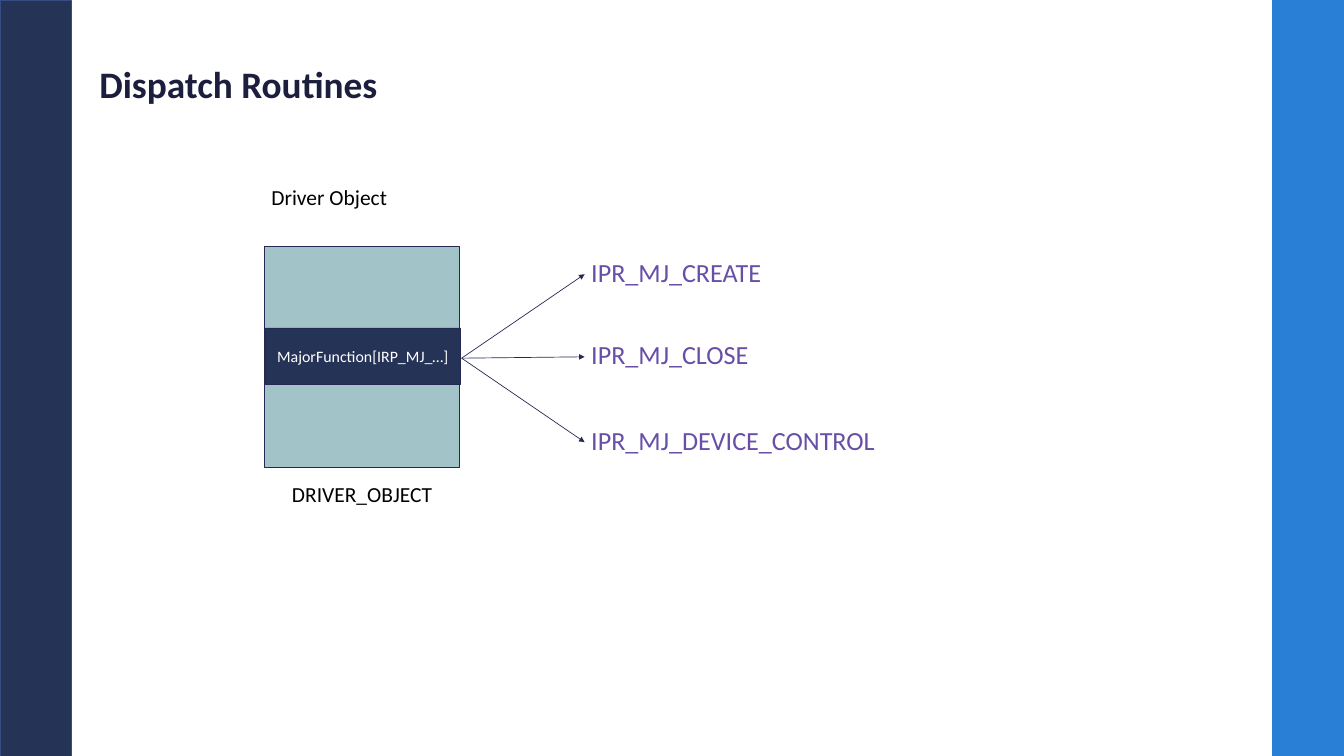
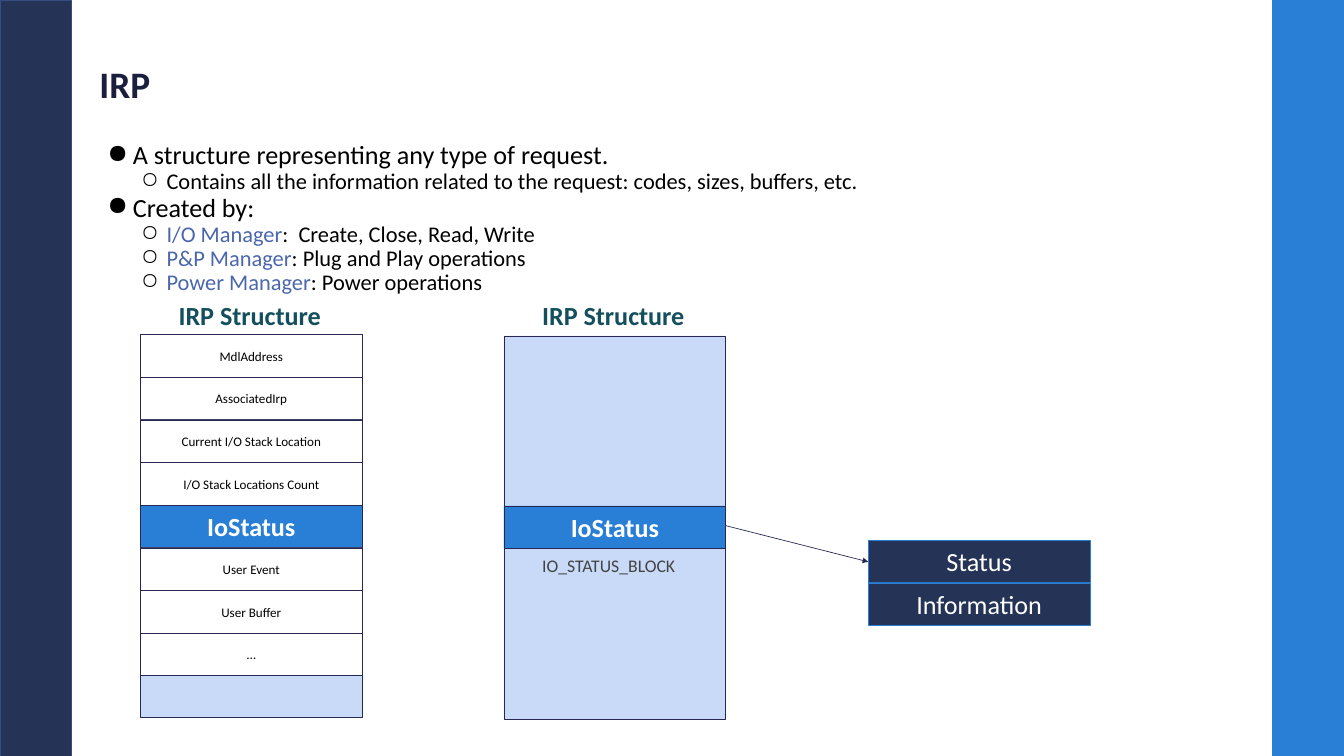
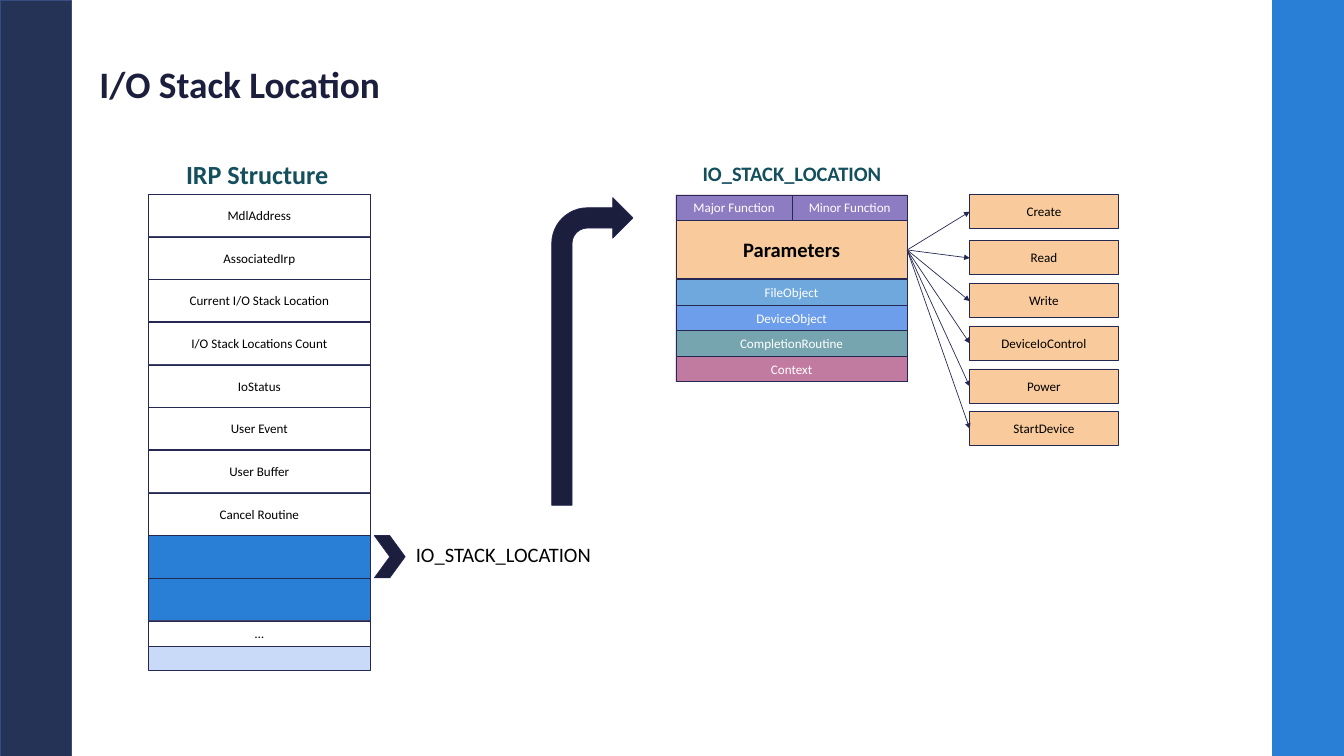
from dataclasses import dataclass, replace
from typing import Optional

import pptx
import pptx.dml.color
import pptx.enum.shapes
import pptx.enum.text
import pptx.oxml.ns
import pptx.shapes.base
import pptx.slide
import pptx.text.text
import pptx.util
from lxml import etree
from pptx.util import Inches

Shape = pptx.enum.shapes.MSO_SHAPE
Align = pptx.enum.text.PP_ALIGN
Anchor = pptx.enum.text.MSO_ANCHOR


@dataclass(frozen=True)
class Theme:
    font: str = "Calibri"
    white: str = "FFFFFF"
    black: str = "000000"
    navy: str = "253356"
    ink: str = "1B1E3D"
    edge: str = "242852"
    rim: str = "374C81"
    blue: str = "297FD5"
    pale: str = "C9DAF8"
    mist: str = "A2C4C9"
    teal: str = "134F5C"
    grey: str = "434343"
    accent: str = "4A66AC"
    violet: str = "674EA7"
    lilac: str = "8E7CC3"
    peach: str = "F9CB9C"
    red: str = "E06666"
    sky: str = "6FA8DC"
    azure: str = "6D9EEB"
    sage: str = "76A5AF"
    rose: str = "C27BA0"
    title: int = 40
    head: int = 28
    sub: int = 24
    label: int = 23
    name: int = 22
    note: int = 19
    code: int = 17
    cell: int = 14
    thin: float = 0.75


THEME = Theme()
PITCH = 1.27 / 2
ROW = 0.63
SLIM = 0.38


@dataclass(frozen=True)
class Box:
    left: float
    top: float
    width: float
    height: float
    fill: str
    text: str = ""
    size: int = THEME.cell
    color: str = THEME.black
    bold: bool = False
    edge: str = THEME.edge
    weight: float = THEME.thin
    kind: Shape = Shape.RECTANGLE
    tweaks: tuple[float, ...] = ()


@dataclass(frozen=True)
class Label:
    text: str
    left: float
    top: float
    width: float
    height: float = ROW
    size: int = THEME.head
    color: str = THEME.black
    bold: bool = False
    align: Align = Align.LEFT
    anchor: Anchor = Anchor.TOP
    pad: float = 0.1
    space: float = 1.0


@dataclass(frozen=True)
class Point:
    text: str
    level: int = 0
    lead: str = ""
    before: int = 0


BANDS = (
    Box(0, 0, 1.06, 11.25, THEME.navy, edge=THEME.rim, weight=1),
    Box(18.94, 0, 1.06, 11.25, THEME.blue, edge=THEME.blue, weight=1),
)
TITLE = Label("", 1.38, 0.6, 17.25, 1.36, THEME.title, THEME.ink, True,
              anchor=Anchor.MIDDLE, pad=0.05, space=0.9)
HEAD = Label("IRP Structure", 0, 0, 2.36, color=THEME.teal, bold=True)


def tint(code: str) -> pptx.dml.color.RGBColor:
    return pptx.dml.color.RGBColor.from_string(code)


def style(run: pptx.text.text._Run, size: int, color: str, bold: bool = False) -> None:
    run.font.name = THEME.font
    run.font.size = pptx.util.Pt(size)
    run.font.bold = bold
    run.font.color.rgb = tint(color)


def set_frame(frame: pptx.text.text.TextFrame, pad: float, anchor: Anchor) -> None:
    frame.word_wrap = True
    frame.vertical_anchor = anchor
    frame.margin_left = frame.margin_right = Inches(0.1)
    frame.margin_top = frame.margin_bottom = Inches(pad)


def draw_box(slide: pptx.slide.Slide, box: Box) -> None:
    shape = slide.shapes.add_shape(box.kind, Inches(box.left), Inches(box.top),
                                   Inches(box.width), Inches(box.height))
    shape.shadow.inherit = False
    shape.fill.solid()
    shape.fill.fore_color.rgb = tint(box.fill)
    shape.line.color.rgb = tint(box.edge)
    shape.line.width = pptx.util.Pt(box.weight)
    for index, tweak in enumerate(box.tweaks):
        shape.adjustments[index] = tweak
    if box.text:
        frame = shape.text_frame
        set_frame(frame, 0.1, Anchor.MIDDLE)
        frame.text = box.text
        frame.paragraphs[0].alignment = Align.CENTER
        style(frame.paragraphs[0].runs[0], box.size, box.color, box.bold)


def draw_label(slide: pptx.slide.Slide, label: Label) -> None:
    frame = slide.shapes.add_textbox(Inches(label.left), Inches(label.top),
                                     Inches(label.width), Inches(label.height)).text_frame
    set_frame(frame, label.pad, label.anchor)
    frame.text = label.text
    line = frame.paragraphs[0]
    line.alignment = label.align
    line.line_spacing = label.space
    style(line.runs[0], label.size, label.color, label.bold)


def draw_link(slide: pptx.slide.Slide, start: tuple[float, float],
              end: tuple[float, float]) -> None:
    link = slide.shapes.add_connector(pptx.enum.shapes.MSO_CONNECTOR.STRAIGHT,
                                      *map(Inches, start + end))
    link.line.color.rgb = tint(THEME.edge)
    link.line.width = pptx.util.Pt(THEME.thin)
    name = pptx.oxml.ns.qn
    props = link._element.spPr
    etree.SubElement(props.find(name("a:ln")), name("a:tailEnd"), type="triangle")
    etree.SubElement(props, name("a:effectLst"))


def draw_points(slide: pptx.slide.Slide, points: list[Point]) -> None:
    frame = slide.shapes.add_textbox(Inches(1.38), Inches(2.07),
                                     Inches(17.25), Inches(2.54)).text_frame
    set_frame(frame, 0.05, Anchor.TOP)
    name = pptx.oxml.ns.qn
    for index, point in enumerate(points):
        line = frame.add_paragraph() if index else frame.paragraphs[0]
        line.level = point.level
        line.line_spacing = 0.9
        line.space_before = pptx.util.Pt(point.before)
        props = line._p.get_or_add_pPr()
        props.set("marL", str(Inches(0.5 * (point.level + 1))))
        props.set("indent", str(Inches(-0.38)))
        color = etree.SubElement(props, name("a:buClr"))
        etree.SubElement(color, name("a:srgbClr"), val=THEME.black)
        etree.SubElement(props, name("a:buChar"), char="●○"[point.level])
        size = THEME.sub if point.level else THEME.head
        for text, shade in ((point.lead, THEME.accent), (point.text, THEME.black)):
            if text:
                run = line.add_run()
                run.text = text
                style(run, size, shade)


def draw_stack(slide: pptx.slide.Slide, left: float, top: float, height: float,
               rows: list[str], strong: Optional[str] = None) -> None:
    draw_box(slide, Box(left, top, 3.3, height, THEME.pale))
    for index, text in enumerate(rows):
        cell = Box(left, top + index * PITCH, 3.3, ROW, THEME.white, text)
        if text == strong:
            cell = replace(cell, fill=THEME.blue, size=THEME.head,
                           color=THEME.white, bold=True)
        draw_box(slide, cell)


def new_slide(deck: pptx.presentation.Presentation, title: str) -> pptx.slide.Slide:
    slide = deck.slides.add_slide(deck.slide_layouts[6])
    for band in BANDS:
        draw_box(slide, band)
    draw_label(slide, replace(TITLE, text=title))
    return slide


def build_dispatch(deck: pptx.presentation.Presentation) -> None:
    slide = new_slide(deck, "Dispatch Routines")
    draw_box(slide, Box(3.94, 3.67, 2.9, 3.29, THEME.mist))
    draw_box(slide, Box(3.95, 4.88, 2.9, 0.84, THEME.navy, "MajorFunction[IRP_MJ_…]",
                        THEME.code, THEME.white))
    draw_label(slide, Label("Driver Object", 3.94, 2.64, 2.48, 0.59, THEME.label))
    draw_label(slide, Label("DRIVER_OBJECT", 4.15, 7.06, 2.48, 0.59, THEME.label,
                            align=Align.CENTER))
    codes = (("IPR_MJ_CREATE", 3.71), ("IPR_MJ_CLOSE", 4.94),
             ("IPR_MJ_DEVICE_CONTROL", 6.21))
    for text, top in codes:
        draw_label(slide, Label(text, 8.7, top, 5.06, 0.75, color=THEME.violet))
        draw_link(slide, (6.87, 5.33), (8.7, top + 0.37))


def build_irp(deck: pptx.presentation.Presentation, rows: list[str]) -> None:
    slide = new_slide(deck, "IRP")
    draw_points(slide, [
        Point("A structure representing any type of request.", before=10),
        Point("Contains all the information related to the request: "
              "codes, sizes, buffers, etc.", 1),
        Point("Created by:"),
        Point(":  Create, Close, Read, Write", 1, "I/O Manager"),
        Point(": Plug and Play operations", 1, "P&P Manager"),
        Point(": Power operations", 1, "Power Manager"),
    ])
    draw_stack(slide, 2.09, 4.98, 5.7, rows + ["…"], "IoStatus")
    draw_box(slide, Box(7.5, 5, 3.3, 5.7, THEME.pale))
    draw_box(slide, Box(7.5, 7.53, 3.3, ROW, THEME.blue, "IoStatus", THEME.head,
                        THEME.white, True))
    for left in (2.56, 7.97):
        draw_label(slide, replace(HEAD, left=left, top=4.35))
    draw_label(slide, Label("IO_STATUS_BLOCK", 7.97, 8.16, 2.36, 0.52, THEME.note,
                            THEME.grey))
    for index, text in enumerate(("Status", "Information")):
        draw_box(slide, Box(12.92, 8.04 + index * PITCH, 3.3, ROW, THEME.navy, text,
                            THEME.head, THEME.white, edge=THEME.blue))
    draw_link(slide, (10.79, 7.82), (12.92, 8.36))


def build_stack(deck: pptx.presentation.Presentation, rows: list[str]) -> None:
    slide = new_slide(deck, "I/O Stack Location")
    left, top = 2.21, 2.89
    draw_stack(slide, left, top, 7.08, rows + ["Cancel Routine"])
    for index in (8, 9):
        draw_box(slide, Box(left, top + index * PITCH, 3.3, ROW, THEME.blue))
    draw_box(slide, Box(left, top + 10 * PITCH, 3.3, SLIM, THEME.white, "…"))
    draw_box(slide, Box(5.57, 7.97, 0.46, ROW, THEME.ink, kind=Shape.CHEVRON,
                        tweaks=(0.5,)))
    draw_label(slide, Label("IO_STACK_LOCATION", 6.09, 7.97, 2.87, size=THEME.name))
    draw_label(slide, replace(HEAD, left=2.67, top=2.25))

    left, width = 10.06, 3.44
    draw_box(slide, Box(left, 2.9, width, 2.78, THEME.red))
    draw_box(slide, Box(left, 2.9, 1.73, SLIM, THEME.lilac, "Major Function",
                        color=THEME.white))
    draw_box(slide, Box(11.79, 2.9, 1.71, SLIM, THEME.lilac, "Minor Function",
                        color=THEME.white))
    draw_box(slide, Box(left, 3.28, width, 0.87, THEME.peach, "Parameters",
                        THEME.name, bold=True))
    fields = (("FileObject", THEME.sky), ("DeviceObject", THEME.azure),
              ("CompletionRoutine", THEME.sage), ("Context", THEME.rose))
    for index, (text, fill) in enumerate(fields):
        draw_box(slide, Box(left, 4.16 + index * SLIM, width, SLIM, fill, text,
                            color=THEME.white))
    calls = (("Create", 2.89), ("Read", 3.58), ("Write", 4.22),
             ("DeviceIoControl", 4.85), ("Power", 5.49), ("StartDevice", 6.12))
    for text, level in calls:
        draw_box(slide, Box(14.43, level, 2.21, 0.51, THEME.peach, text))
        draw_link(slide, (13.5, 3.72), (14.43, level + 0.26))
    draw_label(slide, Label("IO_STACK_LOCATION", 10.08, 2.3, 3.41, size=THEME.name,
                            color=THEME.teal, bold=True, align=Align.CENTER))
    draw_box(slide, Box(8.21, 2.94, 1.21, 4.58, THEME.ink, kind=Shape.BENT_ARROW,
                        tweaks=(0.25, 0.25, 0.25, 0.44)))


def main() -> None:
    deck = pptx.Presentation()
    deck.slide_width = Inches(20)
    deck.slide_height = Inches(11.25)
    rows = ["MdlAddress", "AssociatedIrp", "Current I/O Stack Location",
            "I/O Stack Locations Count", "IoStatus", "User Event", "User Buffer"]
    build_dispatch(deck)
    build_irp(deck, rows)
    build_stack(deck, rows)
    deck.save("out.pptx")


if __name__ == "__main__":
    main()
